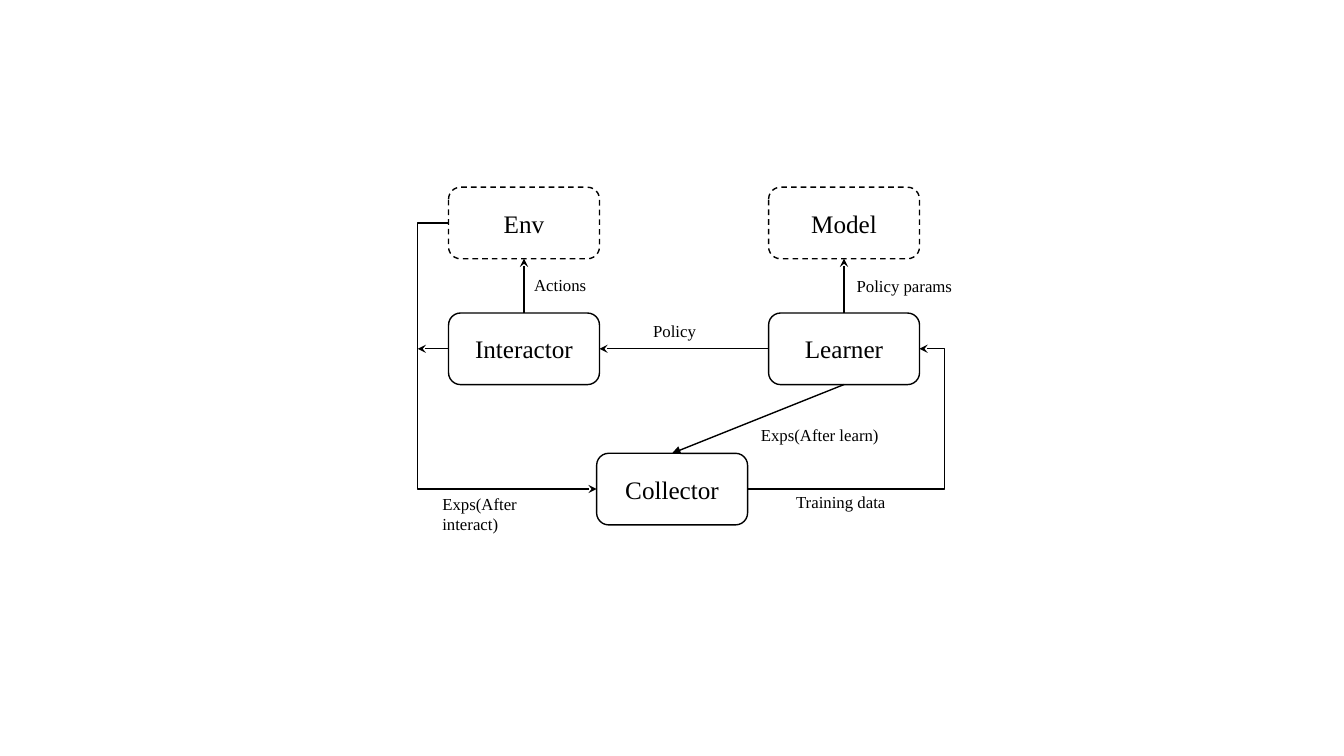
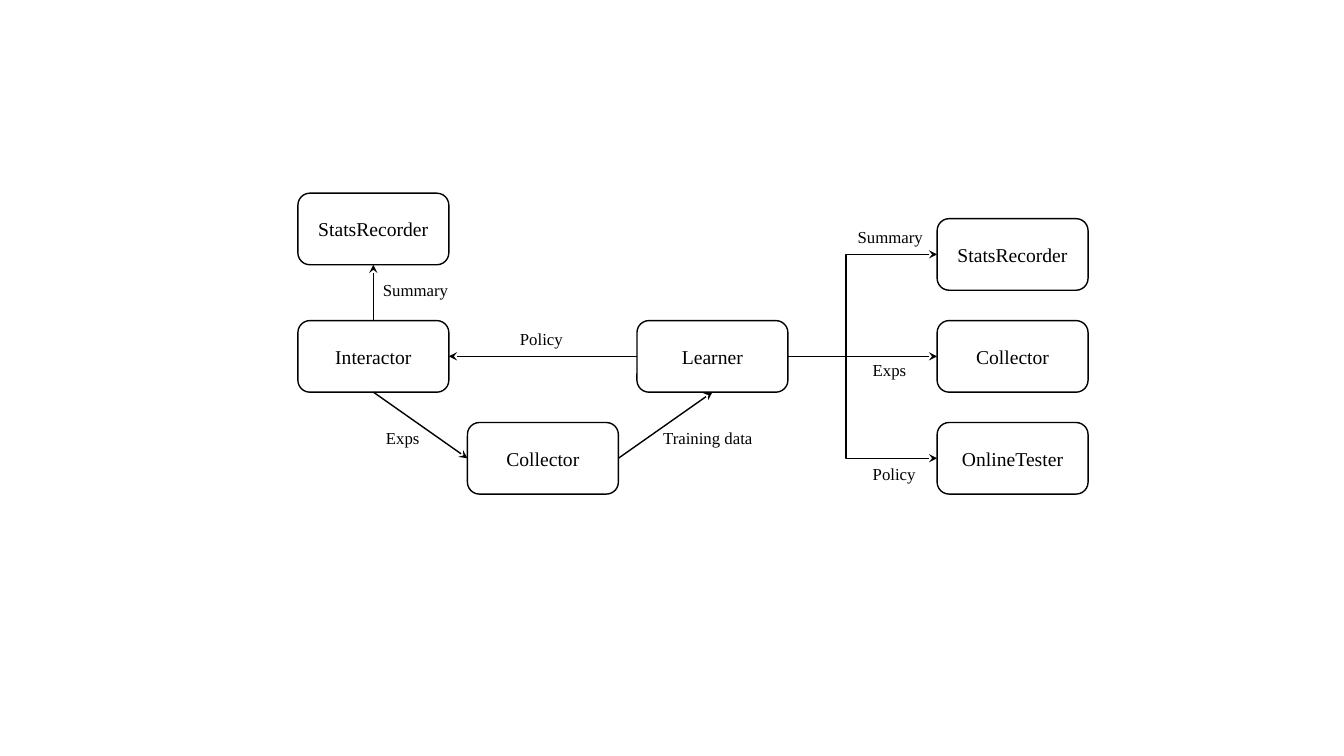
from lxml import etree
from pptx import Presentation
from pptx import util as u
from pptx.dml.color import RGBColor
from pptx.enum import dml, shapes, text
from pptx.oxml.ns import qn

INK = "000000"
FONT = "Times New Roman"
NODE_WIDTH, NODE_HEIGHT = 107.8, 51.1
LABEL_SIZE, LABEL_HEIGHT = 12, 21.6
TOP, LEFT, BOTTOM, RIGHT = range(4)  # connection sites of a node


def color(value):
    """Turn a hex string into a colour."""
    return RGBColor.from_string(value)


def style_text(para, size):
    """Give a paragraph the shared font."""
    para.font.name = FONT
    para.font.size = u.Pt(size)
    para.font.color.rgb = color(INK)


def style_line(line):
    """Give an outline or connector the shared stroke."""
    line.color.rgb = color(INK)
    line.width = u.Pt(1)


def add_node(page, origin, name, x, y, size, dashed=False):
    """Add a rounded box with a centred name, offset from the origin."""
    node = page.shapes.add_shape(
        shapes.MSO_SHAPE.ROUNDED_RECTANGLE, u.Pt(origin[0] + x), u.Pt(origin[1] + y),
        u.Pt(NODE_WIDTH), u.Pt(NODE_HEIGHT))
    node.shadow.inherit = False
    node.fill.background()
    style_line(node.line)
    if dashed:
        node.line.dash_style = dml.MSO_LINE.DASH
    frame = node.text_frame
    frame.vertical_anchor = text.MSO_ANCHOR.MIDDLE
    para = frame.paragraphs[0]
    para.text = name
    para.alignment = text.PP_ALIGN.CENTER
    style_text(para, size)
    return node


def add_label(page, origin, words, x, y, width):
    """Add a wrapping caption, offset from the origin."""
    box = page.shapes.add_textbox(
        u.Pt(origin[0] + x), u.Pt(origin[1] + y), u.Pt(width), u.Pt(LABEL_HEIGHT))
    box.text_frame.word_wrap = True
    para = box.text_frame.paragraphs[0]
    para.text = words
    style_text(para, LABEL_SIZE)


def finish_arrow(arrow, head):
    """Set the stroke and arrowhead and remove the shadow."""
    style_line(arrow.line)
    etree.SubElement(arrow.line._get_or_add_ln(), qn("a:tailEnd"), type=head)
    etree.SubElement(arrow._element.spPr, qn("a:effectLst"))


def add_arrow(page, start, start_site, end, end_site, turn=None, head="stealth"):
    """Join two nodes; turn is how far right of the start an elbow bends."""
    kind = shapes.MSO_CONNECTOR.STRAIGHT if turn is None else shapes.MSO_CONNECTOR.ELBOW
    arrow = page.shapes.add_connector(kind, 0, 0, 0, 0)
    arrow.begin_connect(start, start_site)
    arrow.end_connect(end, end_site)
    if turn is not None:
        ratio = u.Pt(turn) / (arrow.end_x - arrow.begin_x)
        guides = arrow._element.spPr.find(qn("a:prstGeom")).get_or_add_avLst()
        etree.SubElement(guides, qn("a:gd"), name="adj1", fmla=f"val {round(ratio * 100000)}")
    finish_arrow(arrow, head)


def add_stub(page, node, length):
    """Add a short arrow that leaves the left side of a node."""
    y = node.top + node.height // 2
    arrow = page.shapes.add_connector(
        shapes.MSO_CONNECTOR.STRAIGHT, node.left, y, node.left - u.Pt(length), y)
    finish_arrow(arrow, "stealth")


def draw_training_loop(page, origin):
    """Draw the loop between environment, model and collector."""
    right, middle, lower = 228.6, 89.9, 190.1
    env = add_node(page, origin, "Env", 0, 0, 18, dashed=True)
    model = add_node(page, origin, "Model", right, 0, 18, dashed=True)
    interactor = add_node(page, origin, "Interactor", 0, middle, 18)
    learner = add_node(page, origin, "Learner", right, middle, 18)
    collector = add_node(page, origin, "Collector", 105.8, lower, 18)

    add_arrow(page, interactor, TOP, env, BOTTOM)
    add_arrow(page, learner, TOP, model, BOTTOM)
    add_arrow(page, learner, LEFT, interactor, RIGHT)
    add_arrow(page, learner, BOTTOM, collector, TOP, head="triangle")
    add_arrow(page, env, LEFT, collector, LEFT, turn=-22)
    add_arrow(page, collector, RIGHT, learner, RIGHT, turn=140.7)
    add_stub(page, interactor, 22)

    for words, x, y, width in (
            ("Actions", 54, 59.2, 54),
            ("Policy params", 284.4, 59.9, 88.6),
            ("Policy", 139, 91.6, 48),
            ("Exps(After learn)", 216, 166.4, 108),
            ("Exps(After interact)", -11.5, 215.4, 108),
            ("Training data", 241.2, 214, 83)):
        add_label(page, origin, words, x, y, width)


def draw_data_flow(page, origin):
    """Draw the flow from interactor to learner and its three receivers."""
    column, row, middle, far = 121.1, 72.8, 91, 456.6
    recorder = add_node(page, origin, "StatsRecorder", 0, 0, 14)
    interactor = add_node(page, origin, "Interactor", 0, middle, 14)
    collector = add_node(page, origin, "Collector", column, middle + row, 14)
    learner = add_node(page, origin, "Learner", 2 * column, middle, 14)

    add_arrow(page, interactor, TOP, recorder, BOTTOM)
    add_arrow(page, learner, LEFT, interactor, RIGHT)
    add_arrow(page, interactor, BOTTOM, collector, LEFT)
    add_arrow(page, collector, RIGHT, learner, BOTTOM)
    for step, name in enumerate(("StatsRecorder", "Collector", "OnlineTester"), -1):
        receiver = add_node(page, origin, name, far, middle + step * row, 14)
        add_arrow(page, learner, RIGHT, receiver, LEFT, turn=41.5 if step else None)

    for words, x, y, width in (
            ("Summary", 53.6, 58.6, 63),
            ("Policy", 151.5, 93.1, 52),
            ("Exps", 55.8, 163.7, 40),
            ("Training data", 253.8, 163.7, 83),
            ("Summary", 392.7, 20.4, 63),
            ("Exps", 403.5, 115.4, 40),
            ("Policy", 403.5, 189.6, 52)):
        add_label(page, origin, words, x, y, width)


deck = Presentation()
deck.slide_width, deck.slide_height = u.Pt(960), u.Pt(540)
blank = deck.slide_layouts[6]
for draw, origin in ((draw_training_loop, (320.4, 133.7)), (draw_data_flow, (212.8, 138))):
    draw(deck.slides.add_slide(blank), origin)
deck.save("out.pptx")
